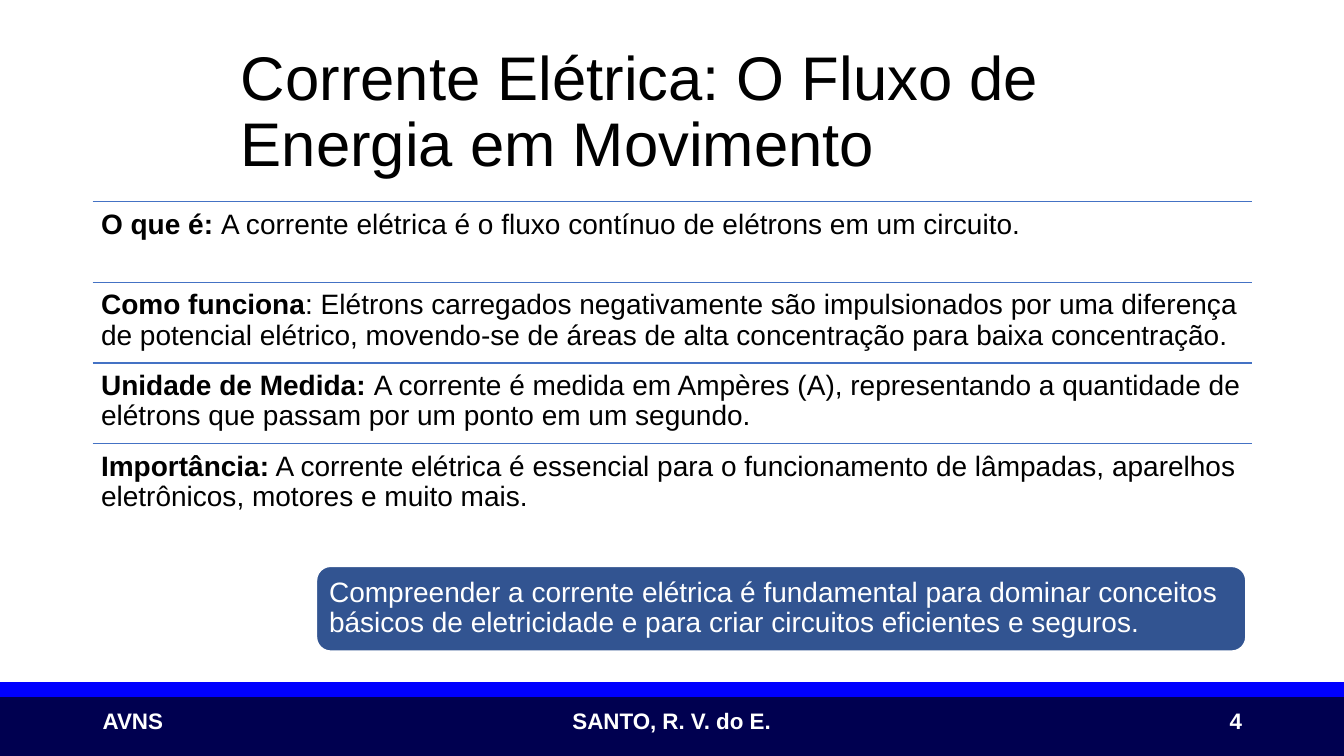
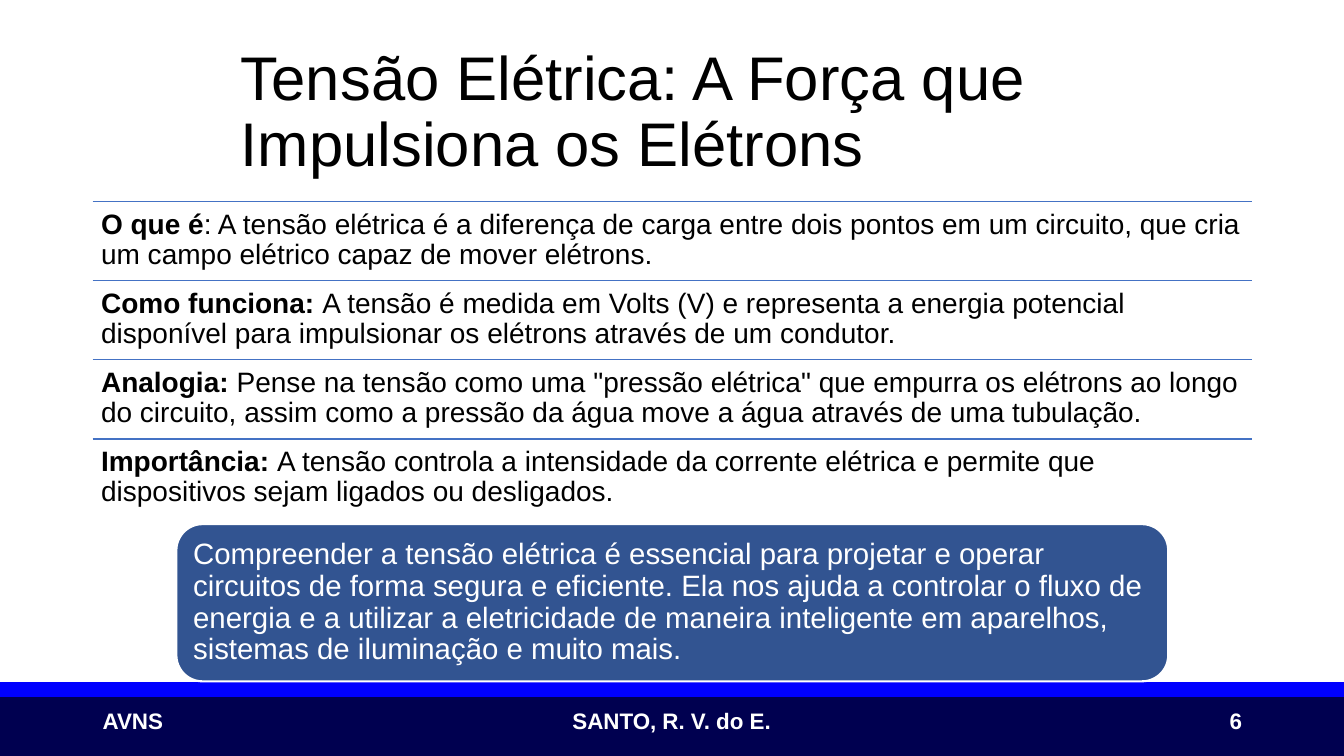
"""Build two slides on electric current and voltage."""
from lxml.etree import SubElement
from pptx import Presentation
from pptx.dml.color import RGBColor
from pptx.enum.shapes import MSO_CONNECTOR, MSO_SHAPE
from pptx.enum.text import MSO_ANCHOR, PP_ALIGN
from pptx.oxml.ns import qn
from pptx.util import Pt

HUES = {"navy": "000050", "blue": "0000FF", "rule": "4472C4",
        "note": "325491", "white": "FFFFFF", "black": "000000"}
FONT = "Arial"
LEFT, WIDE, TOP = 66.2, 828, 144

BANDS = [("navy", 496.8, 43.2), ("blue", 487.4, 9.8)]

SLIDES = [
    {
        "title": "Corrente Elétrica: O Fluxo de Energia em Movimento",
        "page": "4",
        "pitch": 57.6,
        "rows": [
            ("O que é: ", "A corrente elétrica é o fluxo contínuo de elétrons em um circuito."),
            ("Como funciona", ": Elétrons carregados negativamente são impulsionados por uma "
             "diferença de potencial elétrico, movendo-se de áreas de alta concentração "
             "para baixa concentração."),
            ("Unidade de Medida: ", "A corrente é medida em Ampères (A), representando a "
             "quantidade de elétrons que passam por um ponto em um segundo."),
            ("Importância:", " A corrente elétrica é essencial para o funcionamento de "
             "lâmpadas, aparelhos eletrônicos, motores e muito mais."),
        ],
        "note": "Compreender a corrente elétrica é fundamental para dominar conceitos "
                "básicos de eletricidade e para criar circuitos eficientes e seguros.",
        "frame": (226.1, 404.6, 663.8, 60.5),
        "size": 20, "line": 1, "pad": 6,
    },
    {
        "title": "Tensão Elétrica: A Força que Impulsiona os Elétrons",
        "page": "6",
        "pitch": 56.5,
        "rows": [
            ("O que é", ": A tensão elétrica é a diferença de carga entre dois pontos em um "
             "circuito, que cria um campo elétrico capaz de mover elétrons."),
            ("Como funciona: ", "A tensão é medida em Volts (V) e representa a energia "
             "potencial disponível para impulsionar os elétrons através de um condutor."),
            ("Analogia: ", 'Pense na tensão como uma "pressão elétrica" que empurra os '
             "elétrons ao longo do circuito, assim como a pressão da água move a água "
             "através de uma tubulação."),
            ("Importância: ", "A tensão controla a intensidade da corrente elétrica e "
             "permite que dispositivos sejam ligados ou desligados."),
        ],
        "note": "Compreender a tensão elétrica é essencial para projetar e operar circuitos "
                "de forma segura e eficiente. Ela nos ajuda a controlar o fluxo de energia "
                "e a utilizar a eletricidade de maneira inteligente em aparelhos, sistemas "
                "de iluminação e muito mais.",
        "frame": (126, 374.4, 708.5, 112.3),
        "size": 21, "line": 1.5, "pad": 6.5,
    },
]


def write(shape, *parts, size=20, hue="black", bold=False, align=PP_ALIGN.LEFT,
          anchor=MSO_ANCHOR.TOP, lead=0.9, pad=None, wrap=True):
    frame = shape.text_frame
    frame.word_wrap = wrap
    frame.vertical_anchor = anchor
    if pad is not None:
        frame.margin_left = frame.margin_right = Pt(pad)
        frame.margin_top = frame.margin_bottom = Pt(pad)
    para = frame.paragraphs[0]
    para.alignment = align
    para.line_spacing = lead
    for i, part in enumerate(parts):
        run = para.add_run()
        run.text = part
        run.font.name = FONT
        run.font.size = Pt(size)
        run.font.bold = bold and i == 0
        run.font.color.rgb = RGBColor.from_string(HUES[hue])


def block(shapes, kind, spot, fill, edge, line=1):
    shape = shapes.add_shape(kind, *map(Pt, spot))
    shape.shadow.inherit = False
    shape.fill.solid()
    shape.fill.fore_color.rgb = RGBColor.from_string(HUES[fill])
    shape.line.color.rgb = RGBColor.from_string(HUES[edge])
    shape.line.width = Pt(line)
    return shape


deck = Presentation()
deck.slide_width, deck.slide_height = Pt(960), Pt(540)

for data in SLIDES:
    slide = deck.slides.add_slide(deck.slide_layouts[5])
    shapes = slide.shapes

    for hue, top, high in BANDS:
        block(shapes, MSO_SHAPE.RECTANGLE, (0, top, 960, high), hue, hue)
    for label, left, width in [("AVNS", LEFT, 61.2), ("SANTO, R. V. do E.", 401.8, 158.4)]:
        box = shapes.add_textbox(Pt(left), Pt(501.8), Pt(width), Pt(26.6))
        write(box, label, size=16, hue="white", bold=True, lead=1, wrap=False)
    page = shapes.add_textbox(Pt(678.2), Pt(500.4), Pt(216), Pt(28.8))
    write(page, data["page"], size=16, hue="white", bold=True, lead=1,
          align=PP_ALIGN.RIGHT, anchor=MSO_ANCHOR.MIDDLE)

    title = shapes.title
    title.left, title.top, title.width, title.height = map(Pt, (164.9, 28.8, 728.6, 104.4))
    write(title, data["title"], size=44, anchor=MSO_ANCHOR.MIDDLE)

    for i, row in enumerate(data["rows"]):
        top = Pt(TOP + i * data["pitch"])
        rule = shapes.add_connector(MSO_CONNECTOR.STRAIGHT, Pt(LEFT), top, Pt(LEFT + WIDE), top)
        rule.line.color.rgb = RGBColor.from_string(HUES["rule"])
        rule.line.width = Pt(1)
        SubElement(rule._element.spPr, qn("a:effectLst"))
        box = shapes.add_textbox(Pt(LEFT), top, Pt(WIDE), Pt(data["pitch"]))
        write(box, *row, bold=True, pad=6)

    note = block(shapes, MSO_SHAPE.ROUNDED_RECTANGLE, data["frame"], "note", "white", data["line"])
    write(note, data["note"], size=data["size"], hue="white",
          anchor=MSO_ANCHOR.MIDDLE, pad=data["pad"])

deck.save("out.pptx")
